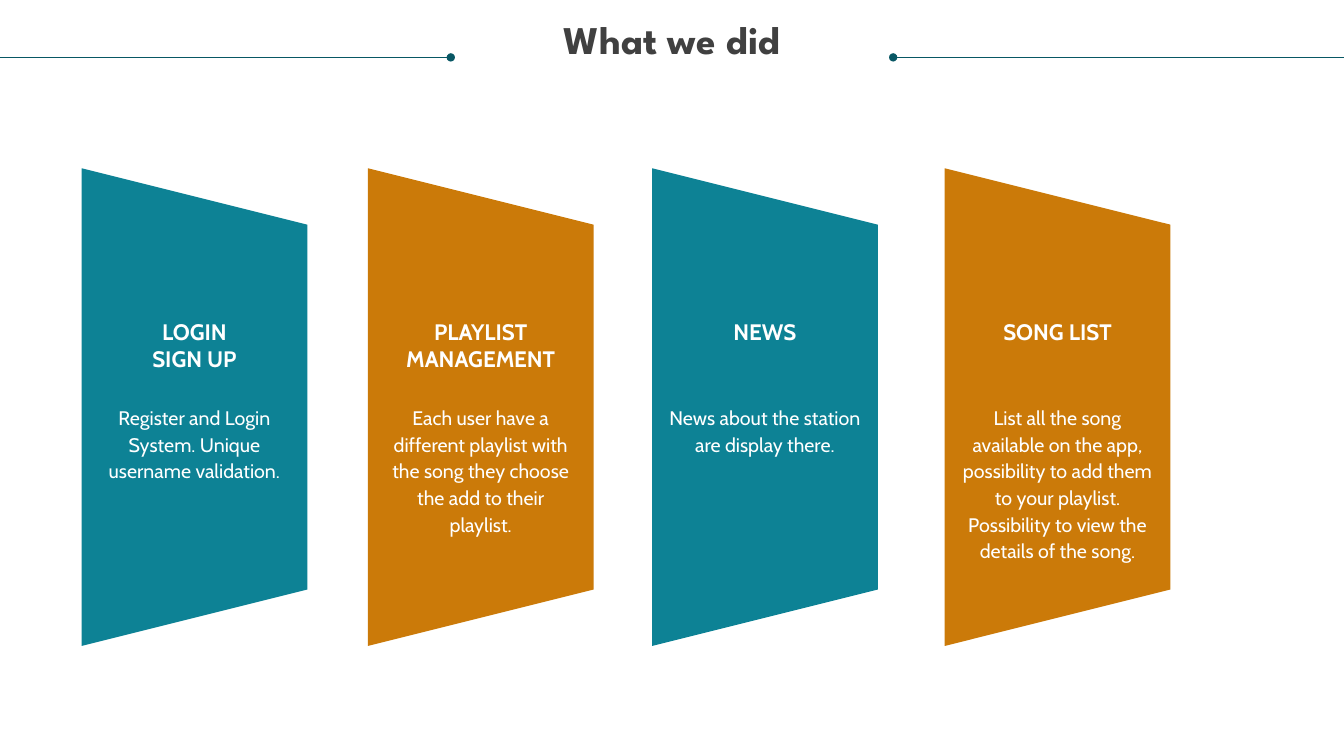
from lxml import etree
from pptx import Presentation
from pptx import util as u
from pptx.dml.color import RGBColor
from pptx.enum import shapes, text
from pptx.oxml.ns import qn

TEAL, AMBER = "0D8295", "CB7A09"
PANELS = [
    (138.9, TEAL, "LOGIN\nSIGN UP",
     "Register and Login\nSystem. Unique username validation."),
    (343.4, AMBER, "PLAYLIST MANAGEMENT",
     "Each user have a different playlist with the song they choose "
     "the add to their playlist."),
    (546.4, TEAL, "NEWS", "News about the station are display there."),
    (755.4, AMBER, "SONG LIST",
     "List all the song available on the app, possibility to add them to your "
     "playlist. Possibility to view the details of the song."),
]


def color(code):
    return RGBColor.from_string(code)


def write(frame, words, font="Cabin", size=14, bold=False, ink="FFFFFF", gap=None):
    """Fill a frame with centred text, one paragraph for each line of words."""
    frame.word_wrap = True
    frame.margin_left = frame.margin_right = 0
    frame.margin_top = frame.margin_bottom = 0
    for i, line in enumerate(words.split("\n")):
        para = frame.add_paragraph() if i else frame.paragraphs[0]
        para.alignment = text.PP_ALIGN.CENTER
        para.line_spacing = gap
        run = para.add_run()
        run.text = line
        run.font.name = font
        run.font.size = u.Pt(size)
        run.font.bold = bold
        run.font.color.rgb = color(ink)


class Deck:
    ink = "085764"

    def __init__(self):
        self.show = Presentation()
        self.show.slide_width, self.show.slide_height = u.Pt(960), u.Pt(540)
        self.slide = self.show.slides.add_slide(self.show.slide_layouts[6])

    def label(self, x, y, w, h, words, **form):
        box = self.slide.shapes.add_textbox(u.Pt(x), u.Pt(y), u.Pt(w), u.Pt(h))
        write(box.text_frame, words, **form)

    def rule(self, start, end, y):
        """Draw a level line with a dot at its end."""
        line = self.slide.shapes.add_connector(
            shapes.MSO_CONNECTOR.STRAIGHT, u.Pt(start), u.Pt(y), u.Pt(end), u.Pt(y))
        line.line.color.rgb = color(self.ink)
        line.line.width = u.Pt(0.5)
        etree.SubElement(line.line._get_or_add_ln(), qn("a:tailEnd"), type="oval")
        etree.SubElement(line._element.spPr, qn("a:effectLst"))

    def panel(self, mid, y, w, h, fill):
        """Draw a trapezoid turned a quarter; w and h are its size before the turn."""
        item = self.slide.shapes.add_shape(
            shapes.MSO_SHAPE.TRAPEZOID,
            u.Pt(mid - w / 2), u.Pt(y - h / 2), u.Pt(w), u.Pt(h))
        item.rotation = 90
        item.shadow.inherit = False
        item.fill.solid()
        item.fill.fore_color.rgb = color(fill)
        item.line.fill.background()


def main():
    deck = Deck()
    deck.rule(960, 638, 41)
    deck.rule(0, 322, 41)
    deck.label(18, 15, 924, 61, "What we did", font="League Spartan",
               size=28, bold=True, ink="404040", gap=0.9)
    for mid, fill, head, body in PANELS:
        deck.panel(mid, 290.8, 341.2, 161.2, fill)
        deck.label(mid - 54, 227.5, 108, 39, head, size=16, bold=True)
        deck.label(mid - 69, 288, 138, 114, body, gap=u.Pt(19))
    deck.show.save("out.pptx")


if __name__ == "__main__":
    main()
